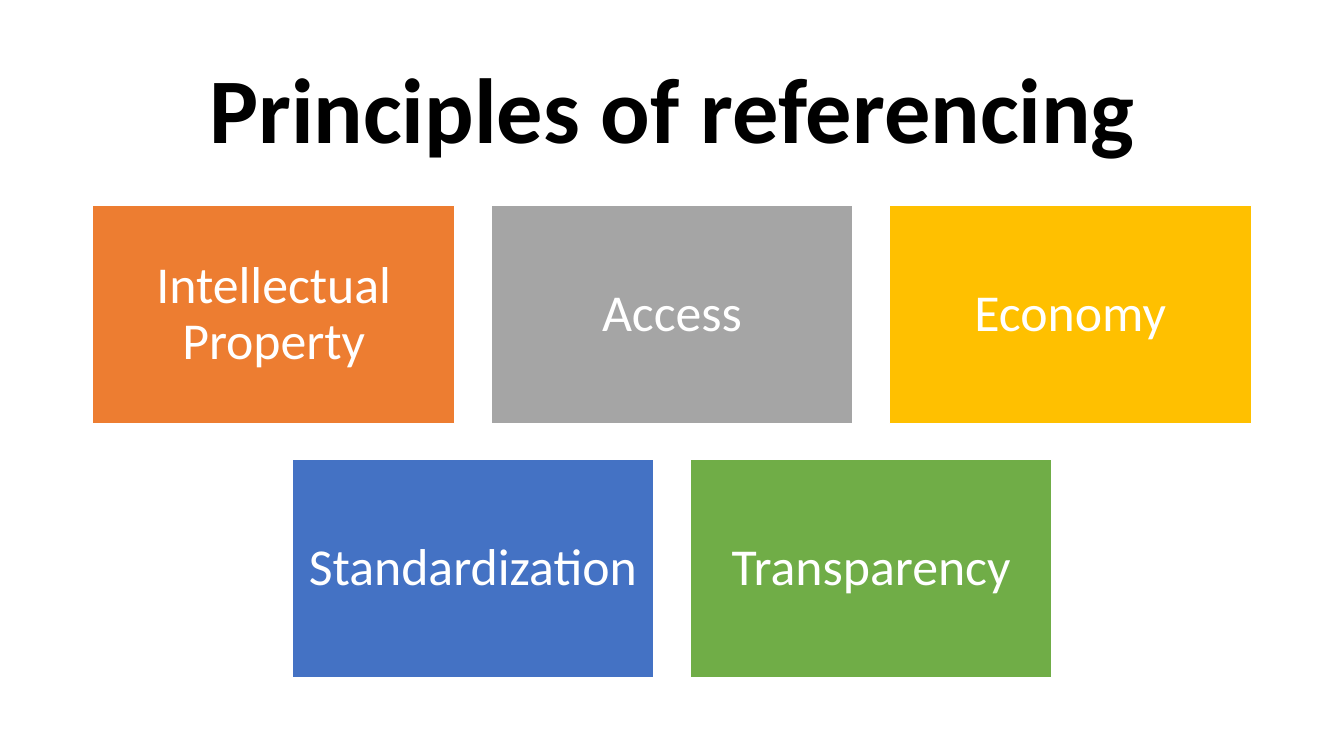
from pptx import Presentation
from pptx.dml.color import RGBColor
from pptx.enum import shapes, text
from pptx.util import Inches, Pt

FONT = "Calibri"
BLACK = RGBColor(0x00, 0x00, 0x00)
WHITE = RGBColor(0xFF, 0xFF, 0xFF)
ORANGE = RGBColor(0xED, 0x7D, 0x31)
GRAY = RGBColor(0xA5, 0xA5, 0xA5)
GOLD = RGBColor(0xFF, 0xC0, 0x00)
BLUE = RGBColor(0x44, 0x72, 0xC4)
GREEN = RGBColor(0x70, 0xAD, 0x47)

SLIDE_WIDTH = 13.33
TILE_WIDTH, TILE_HEIGHT, GAP = 3.59, 2.16, 0.36
TILES_TOP = 2.04

PRINCIPLE_ROWS = [
    [("Intellectual Property", ORANGE), ("Access", GRAY), ("Economy", GOLD)],
    [("Standardization", BLUE), ("Transparency", GREEN)],
]


def write_centred(frame, wording, size, color, bold=False):
    frame.word_wrap = True
    frame.vertical_anchor = text.MSO_ANCHOR.MIDDLE
    paragraph = frame.paragraphs[0]
    paragraph.text = wording
    paragraph.alignment = text.PP_ALIGN.CENTER
    paragraph.line_spacing = 0.9
    paragraph.font.name = FONT
    paragraph.font.size = Pt(size)
    paragraph.font.bold = bold
    paragraph.font.color.rgb = color


def add_title(slide, wording):
    title = slide.shapes.title
    title.left, title.top = Inches(0.92), Inches(0.4)
    title.width, title.height = Inches(11.5), Inches(1.45)
    write_centred(title.text_frame, wording, 66, BLACK, bold=True)


def add_tile(slide, left, top, principle, color):
    tile = slide.shapes.add_shape(
        shapes.MSO_SHAPE.RECTANGLE,
        Inches(left), Inches(top), Inches(TILE_WIDTH), Inches(TILE_HEIGHT))
    tile.shadow.inherit = False
    tile.fill.solid()
    tile.fill.fore_color.rgb = color
    tile.line.color.rgb = WHITE
    tile.line.width = Pt(1)
    frame = tile.text_frame
    frame.margin_left = frame.margin_right = Inches(0.15)
    frame.margin_top = frame.margin_bottom = Inches(0.15)
    write_centred(frame, principle, 37, WHITE)


def add_tile_rows(slide, rows):
    """Stack the rows of tiles, each row centred on the slide."""
    for row_index, row in enumerate(rows):
        top = TILES_TOP + row_index * (TILE_HEIGHT + GAP)
        row_width = len(row) * (TILE_WIDTH + GAP) - GAP
        row_left = (SLIDE_WIDTH - row_width) / 2
        for column, (principle, color) in enumerate(row):
            left = row_left + column * (TILE_WIDTH + GAP)
            add_tile(slide, left, top, principle, color)


def main():
    deck = Presentation()
    deck.slide_width, deck.slide_height = Inches(SLIDE_WIDTH), Inches(7.5)
    title_only = deck.slide_layouts[5]
    slide = deck.slides.add_slide(title_only)
    add_title(slide, "Principles of referencing")
    add_tile_rows(slide, PRINCIPLE_ROWS)
    deck.save("out.pptx")


if __name__ == "__main__":
    main()
